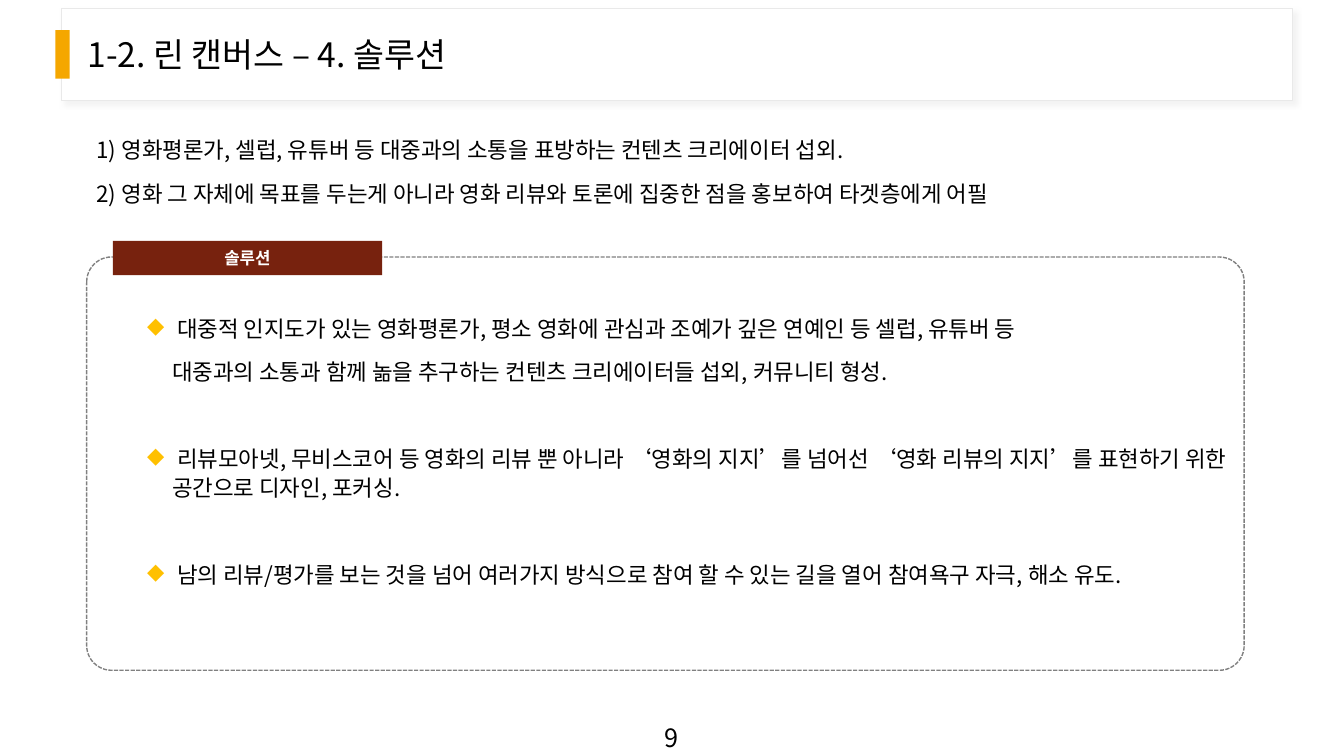
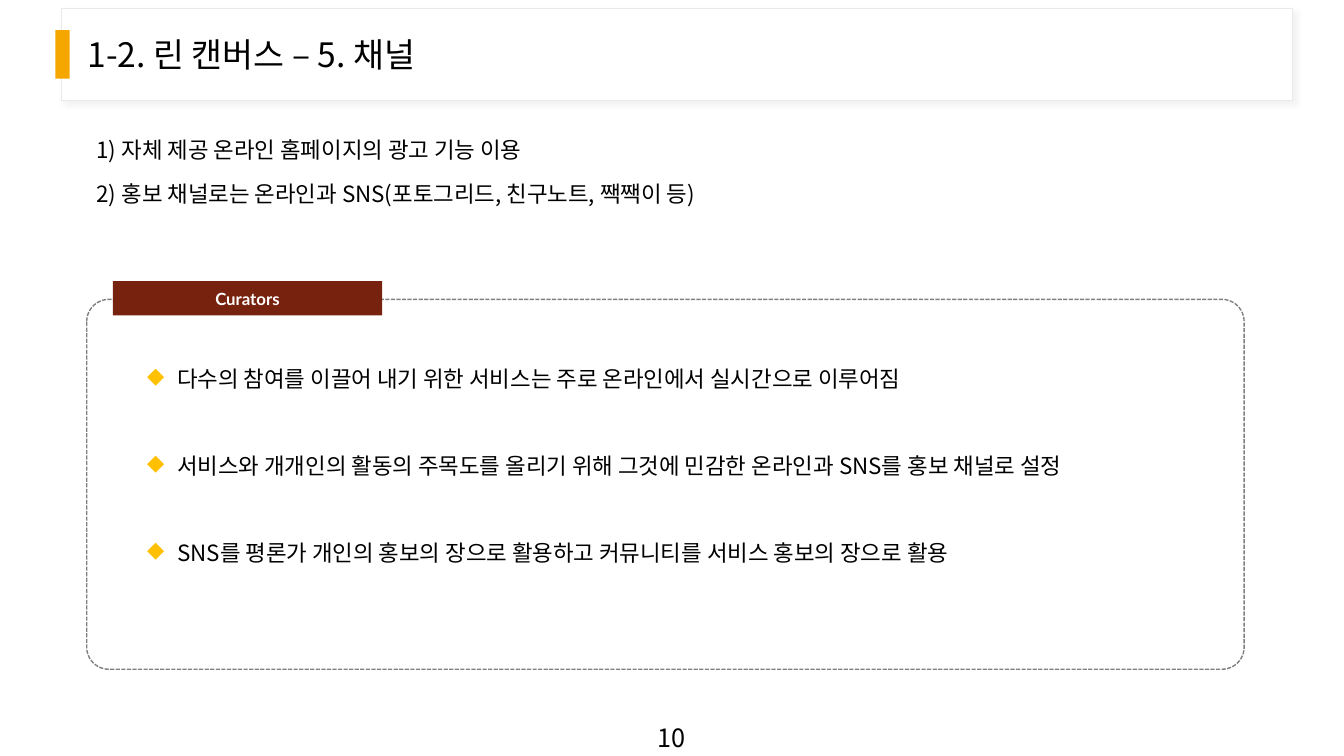
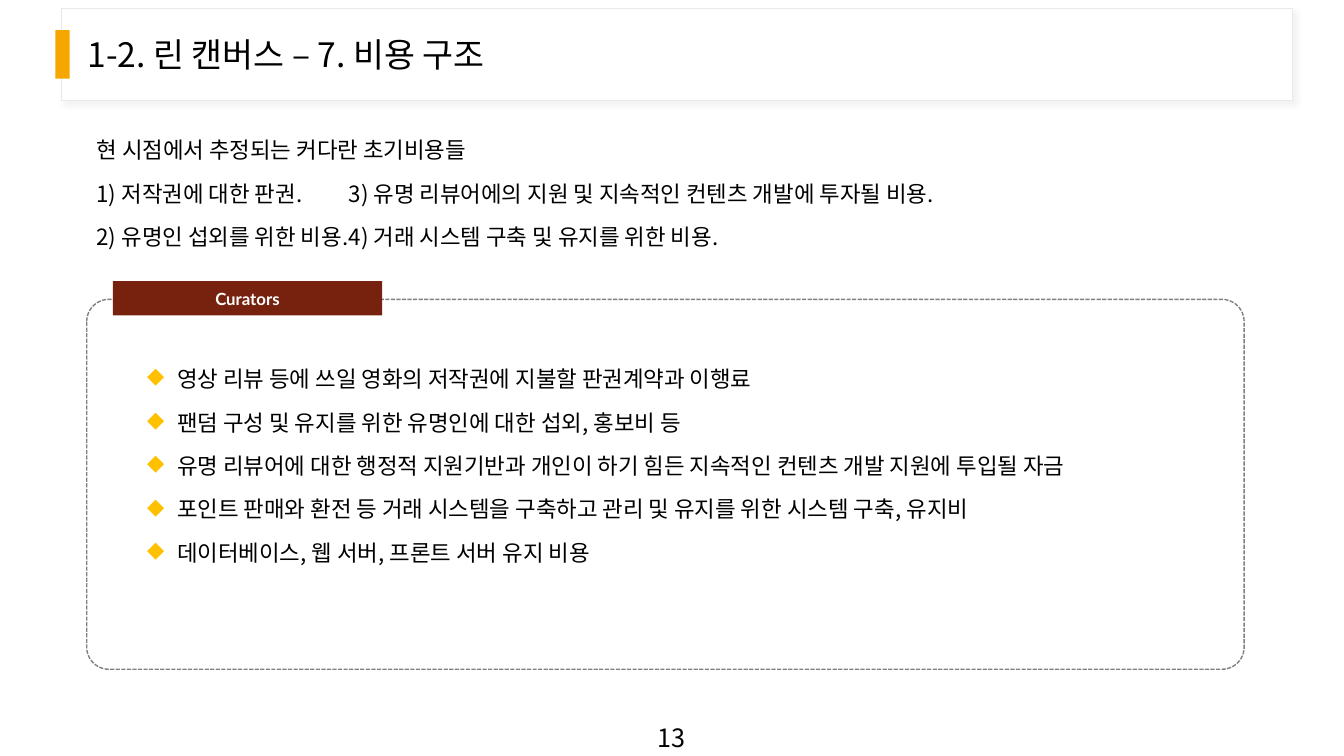
from pptx import Presentation
from pptx.dml.color import RGBColor
from pptx.enum.dml import MSO_LINE
from pptx.enum.shapes import MSO_SHAPE as Shape
from pptx.enum.text import MSO_ANCHOR as Anchor, PP_ALIGN as Align
from pptx.oxml import parse_xml
from pptx.oxml.ns import nsdecls
from pptx.util import Inches, Pt

BLACK = RGBColor(0, 0, 0)
WHITE = RGBColor(255, 255, 255)
GRAY = RGBColor(0x80, 0x80, 0x80)
PALE = RGBColor(0xE9, 0xE9, 0xE9)
SHADE = RGBColor(0xD9, 0xD9, 0xD9)
AMBER = RGBColor(0xF5, 0xA7, 0x00)
GOLD = RGBColor(0xFF, 0xC0, 0x00)
BROWN = RGBColor(0x77, 0x22, 0x0E)
SANS, LATO = "Noto Sans CJK KR", "Lato"
NEAR, FAR = 10, 41
COLUMN = 4.25
HIGH = {"frame": (2.55, 4.1), "label": 2.39, "body": 3.05}
LOW = {"frame": (2.97, 3.67), "label": 2.79, "body": 3.55}

SLIDES = [
    {
        "title": "1-2. 린 캔버스 – 4. 솔루션",
        "page": "9",
        "intro": [
            "1) 영화평론가, 셀럽, 유튜버 등 대중과의 소통을 표방하는 컨텐츠 크리에이터 섭외.",
            "2) 영화 그 자체에 목표를 두는게 아니라 영화 리뷰와 토론에 집중한 점을 홍보하여 타겟층에게 어필",
        ],
        "label": "솔루션",
        "place": HIGH,
        "gap": FAR,
        "points": [
            ("대중적 인지도가 있는 영화평론가, 평소 영화에 관심과 조예가 깊은 연예인 등 셀럽, 유튜버 등",
             "대중과의 소통과 함께 놂을 추구하는 컨텐츠 크리에이터들 섭외, 커뮤니티 형성."),
            ("리뷰모아넷, 무비스코어 등 영화의 리뷰 뿐 아니라 ‘영화의 지지’를 넘어선 ‘영화 리뷰의 지지’를 표현하기 위한 공간으로 디자인, 포커싱.",),
            ("남의 리뷰/평가를 보는 것을 넘어 여러가지 방식으로 참여 할 수 있는 길을 열어 참여욕구 자극, 해소 유도.",),
        ],
    },
    {
        "title": "1-2. 린 캔버스 – 5. 채널",
        "page": "10",
        "intro": [
            "1) 자체 제공 온라인 홈페이지의 광고 기능 이용",
            "2) 홍보 채널로는 온라인과 SNS(포토그리드, 친구노트, 짹짹이 등)",
        ],
        "label": "Curators",
        "place": LOW,
        "gap": FAR,
        "points": [
            ("다수의 참여를 이끌어 내기 위한 서비스는 주로 온라인에서 실시간으로 이루어짐",),
            ("서비스와 개개인의 활동의 주목도를 올리기 위해 그것에 민감한 온라인과 SNS를 홍보 채널로 설정",),
            ("SNS를 평론가 개인의 홍보의 장으로 활용하고 커뮤니티를 서비스 홍보의 장으로 활용",),
        ],
    },
    {
        "title": "1-2. 린 캔버스 – 7. 비용 구조",
        "page": "13",
        "intro": [
            "현 시점에서 추정되는 커다란 초기비용들",
            "1) 저작권에 대한 판권.\t3) 유명 리뷰어에의 지원 및 지속적인 컨텐츠 개발에 투자될 비용.",
            "2) 유명인 섭외를 위한 비용.\t4) 거래 시스템 구축 및 유지를 위한 비용.",
        ],
        "label": "Curators",
        "place": LOW,
        "gap": NEAR,
        "points": [
            ("영상 리뷰 등에 쓰일 영화의 저작권에 지불할 판권계약과 이행료",),
            ("팬덤 구성 및 유지를 위한 유명인에 대한 섭외, 홍보비 등",),
            ("유명 리뷰어에 대한 행정적 지원기반과 개인이 하기 힘든 지속적인 컨텐츠 개발 지원에 투입될 자금",),
            ("포인트 판매와 환전 등 거래 시스템을 구축하고 관리 및 유지를 위한 시스템 구축, 유지비",),
            ("데이터베이스, 웹 서버, 프론트 서버 유지 비용",),
        ],
    },
]


def node(xml):
    tag, rest = xml.split(" ", 1)
    return parse_xml(f"<a:{tag} {nsdecls('a')} {rest}")


def write(frame, text, size=16, font=SANS, color=BLACK, bold=False, align=None,
          line=Pt(21), before=0, left=0, hang=0, bullet=None, tab=None):
    para = frame.paragraphs[0]
    if para.runs:
        para = frame.add_paragraph()
    para.alignment = align
    para.line_spacing = line
    para.space_before = Pt(before)
    props = para._p.get_or_add_pPr()
    props.set("marL", str(Inches(left)))
    props.set("indent", str(Inches(-hang)))
    if bullet:
        props.append(node(f'buClr ><a:srgbClr val="{GOLD}"/></a:buClr>'))
        props.append(node(f'buChar char="{bullet}"/>'))
    if tab:
        props.append(node(f'tabLst ><a:tab pos="{Inches(tab)}" algn="l"/></a:tabLst>'))
    run = para.add_run()
    run.text = text
    run.font.size = Pt(size)
    run.font.name = font
    run.font.bold = bold
    run.font.color.rgb = color
    run._r.get_or_add_rPr().append(node(f'ea typeface="{SANS}"/>'))


def box(slide, left, top, width, height, anchor=Anchor.TOP):
    area = slide.shapes.add_textbox(*map(Inches, (left, top, width, height)))
    frame = area.text_frame
    frame.word_wrap = True
    frame.vertical_anchor = anchor
    return frame


def block(slide, kind, left, top, width, height, fill=None, line=None, weight=1):
    shape = slide.shapes.add_shape(kind, *map(Inches, (left, top, width, height)))
    shape.shadow.inherit = False
    if fill is None:
        shape.fill.background()
    else:
        shape.fill.solid()
        shape.fill.fore_color.rgb = fill
    if line is None:
        shape.line.fill.background()
    else:
        shape.line.color.rgb = line
        shape.line.width = Pt(weight)
    return shape


def header(slide, title, page):
    band = block(slide, Shape.RECTANGLE, 0.61, 0.08, 12.21, 0.92, WHITE, PALE, 0.75)
    band._element.spPr.find(".//{*}effectLst").append(node(
        f'outerShdw blurRad="{Pt(4)}" dist="{Pt(3)}" dir="2700000" algn="tl" rotWithShape="0">'
        f'<a:srgbClr val="{SHADE}"><a:alpha val="30000"/></a:srgbClr></a:outerShdw>'))
    block(slide, Shape.RECTANGLE, 0.55, 0.3, 0.14, 0.48, AMBER)
    write(box(slide, 0.77, 0.16, 11.12, 0.8, Anchor.MIDDLE), title, size=24, line=0.9)
    write(box(slide, 6.3, 7.11, 0.73, 0.39), page, size=18, line=Pt(22), align=Align.CENTER)


def panel(slide, label, place, points, gap):
    top, height = place["frame"]
    frame = block(slide, Shape.ROUNDED_RECTANGLE, 0.86, top, 11.48, height, line=GRAY)
    frame.adjustments[0] = 0.06
    frame.line.dash_style = MSO_LINE.SQUARE_DOT
    plate = block(slide, Shape.RECTANGLE, 1.12, place["label"], 2.67, 0.34, BROWN)
    plate.text_frame.vertical_anchor = Anchor.MIDDLE
    write(plate.text_frame, label, size=12, font=LATO, color=WHITE, bold=True,
          align=Align.CENTER, line=1.0)
    body = box(slide, 1.36, place["body"], 11.11, 2.8)
    for i, (lead, *rest) in enumerate(points):
        write(body, " " + lead, before=gap if i else 0, left=0.25, hang=0.25, bullet="◆")
        for text in rest:
            write(body, text, before=NEAR, left=0.25)


def main():
    deck = Presentation()
    deck.slide_width, deck.slide_height = Inches(13.33), Inches(7.5)
    for data in SLIDES:
        slide = deck.slides.add_slide(deck.slide_layouts[6])
        header(slide, data["title"], data["page"])
        intro = box(slide, 0.86, 1.28, 11.11, 1.55)
        for i, text in enumerate(data["intro"]):
            write(intro, text, before=NEAR if i else 0, tab=COLUMN if "\t" in text else None)
        panel(slide, data["label"], data["place"], data["points"], data["gap"])
    deck.save("out.pptx")


if __name__ == "__main__":
    main()
